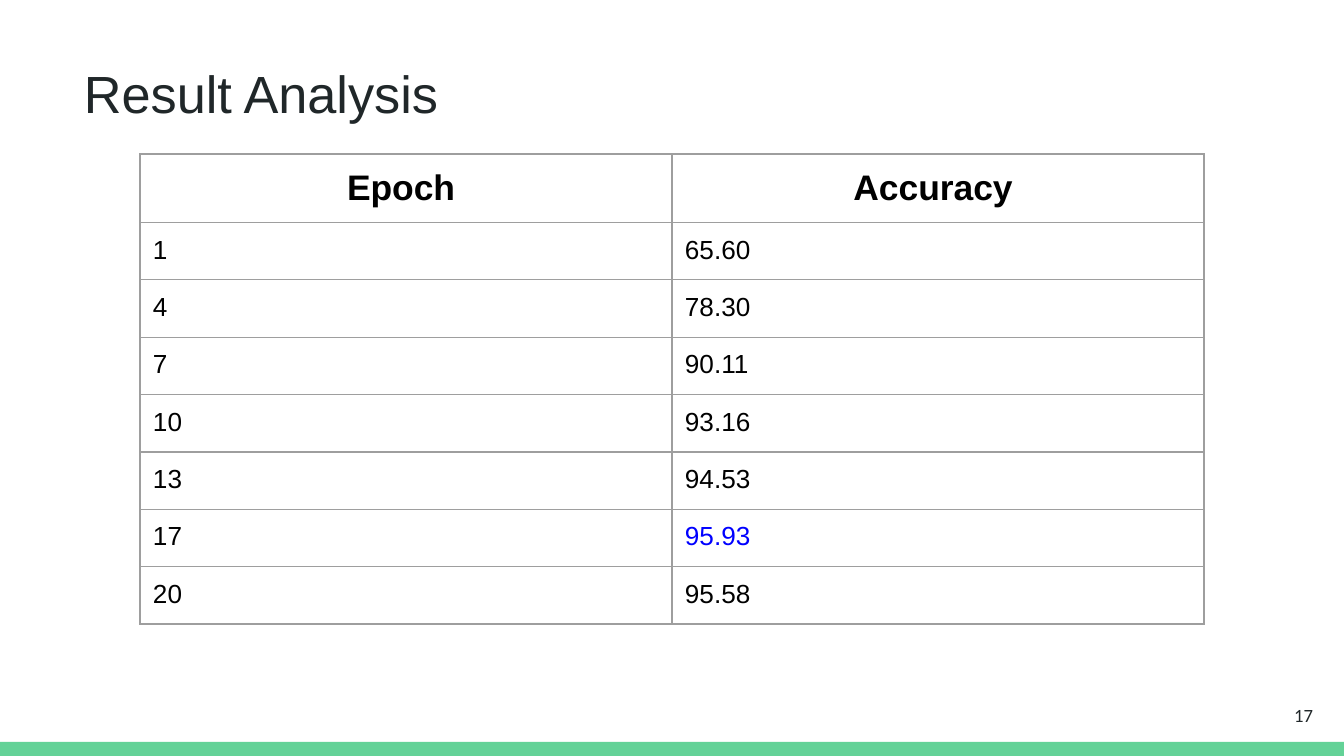
"""Build the result analysis slide with its table of accuracy by epoch."""
from lxml.etree import SubElement
from pptx import Presentation
from pptx.dml.color import RGBColor
from pptx.enum.shapes import MSO_SHAPE
from pptx.enum.text import MSO_ANCHOR, PP_ALIGN
from pptx.oxml.ns import qn
from pptx.util import Emu, Pt

WIDTH, HEIGHT = 1344, 756
INSET = 13
INK, BLACK, BLUE = "202729", "000000", "0000FF"
GREEN, GREY = "63D297", "9E9E9E"
RESULTS = [
    ("1", "65.60"),
    ("4", "78.30"),
    ("7", "90.11"),
    ("10", "93.16"),
    ("13", "94.53"),
    ("17", "95.93"),
    ("20", "95.58"),
]


def px(length):
    return Emu(round(length * 914400 / 134.4))


def color(hex_code):
    return RGBColor.from_string(hex_code)


def write(frame, text, size=14, ink=BLACK, font="Arial", bold=False, align=PP_ALIGN.LEFT):
    paragraph = frame.paragraphs[0]
    paragraph.alignment = align
    run = paragraph.add_run()
    run.text = text
    run.font.name = font
    run.font.size = Pt(size)
    run.font.bold = bold
    run.font.color.rgb = color(ink)


def pad(holder):
    holder.margin_left = holder.margin_right = px(INSET)
    holder.margin_top = holder.margin_bottom = px(INSET)


def outline(cell):
    properties = cell._tc.get_or_add_tcPr()
    for side in ("lnL", "lnR", "lnT", "lnB"):
        line = SubElement(properties, qn(f"a:{side}"), w=str(Pt(0.75)))
        fill = SubElement(line, qn("a:solidFill"))
        SubElement(fill, qn("a:srgbClr"), val=GREY)


class Deck:
    def __init__(self):
        self.presentation = Presentation()
        self.presentation.slide_width = px(WIDTH)
        self.presentation.slide_height = px(HEIGHT)
        self.slide = self.presentation.slides.add_slide(self.presentation.slide_layouts[6])

    def bar(self, left, top, width, height, fill):
        band = self.slide.shapes.add_shape(
            MSO_SHAPE.RECTANGLE, px(left), px(top), px(width), px(height))
        band.shadow.inherit = False
        band.fill.solid()
        band.fill.fore_color.rgb = color(fill)
        band.line.fill.background()

    def text(self, left, top, width, height, words, anchor=MSO_ANCHOR.TOP, **style):
        frame = self.slide.shapes.add_textbox(
            px(left), px(top), px(width), px(height)).text_frame
        frame.word_wrap = True
        frame.vertical_anchor = anchor
        pad(frame)
        write(frame, words, **style)

    def table(self, left, top, column_width, row_height, headings, records, best):
        rows = [headings, *records]
        columns = len(headings)
        grid = self.slide.shapes.add_table(
            len(rows), columns, px(left), px(top),
            px(column_width * columns), px(row_height * len(rows))).table
        grid.first_row = grid.horz_banding = False
        for row, values in enumerate(rows):
            for column, value in enumerate(values):
                cell = grid.cell(row, column)
                pad(cell)
                outline(cell)
                cell.fill.background()
                if row == 0:
                    cell.vertical_anchor = MSO_ANCHOR.MIDDLE
                    write(cell.text_frame, value, size=19, bold=True, align=PP_ALIGN.CENTER)
                else:
                    write(cell.text_frame, value, ink=BLUE if value == best else BLACK)


def main():
    deck = Deck()
    deck.bar(0, 742, WIDTH, 14, GREEN)
    deck.text(1246, 686, 80, 58, "17", anchor=MSO_ANCHOR.MIDDLE,
              size=10, ink=INK, font="Calibri", align=PP_ALIGN.RIGHT)
    best = max((accuracy for _, accuracy in RESULTS), key=float)
    deck.table(140, 154, 532, 56, ("Epoch ", "Accuracy "), RESULTS, best)
    deck.text(71, 48, 866, 78, "Result Analysis", size=28, ink=INK)
    deck.presentation.save("out.pptx")


if __name__ == "__main__":
    main()
